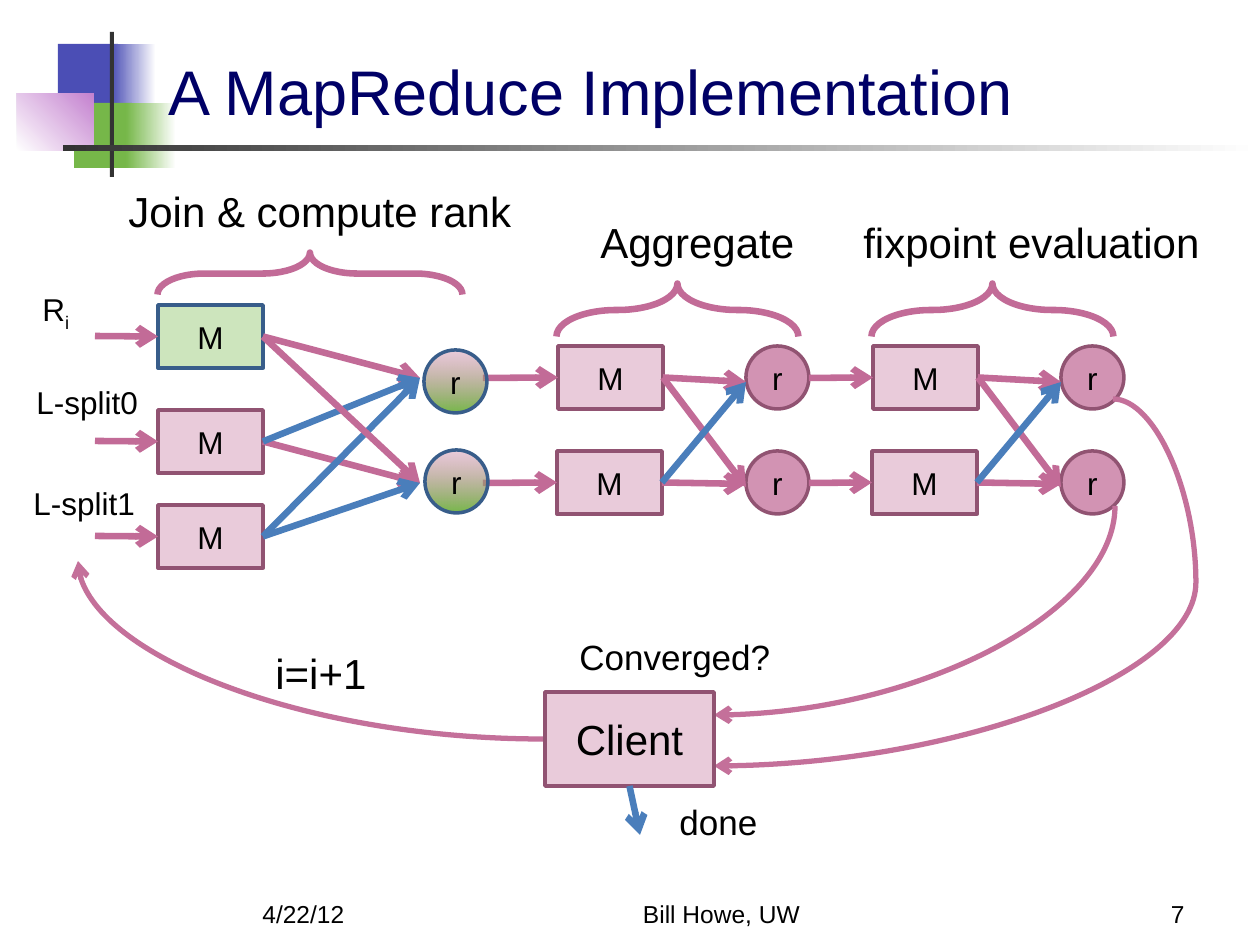
from lxml.etree import SubElement
from pptx import Presentation
from pptx.dml.color import RGBColor
from pptx.enum.shapes import MSO_CONNECTOR, MSO_SHAPE
from pptx.enum.text import MSO_ANCHOR, PP_ALIGN
from pptx.oxml.ns import qn
from pptx.util import Pt

PX = 914400 // 126
FONT = "Arial"
BLACK = RGBColor(0, 0, 0)
WHITE = RGBColor(255, 255, 255)
GREY = RGBColor(0x33, 0x33, 0x33)
NAVY = RGBColor(0, 0, 0x66)
INDIGO = RGBColor(0x4B, 0x4E, 0xB5)
GREEN = RGBColor(0x76, 0xB7, 0x49)
LILAC = RGBColor(0xC4, 0x81, 0xCF)
PINK = RGBColor(0xC4, 0x70, 0x9A)
ROSE = RGBColor(0xC2, 0x6B, 0x97)
PLUM = RGBColor(0x91, 0x53, 0x72)
BLUE = RGBColor(0x4A, 0x7E, 0xBB)
STEEL = RGBColor(0x38, 0x5D, 0x8A)
LEFT, MID, RIGHT = PP_ALIGN.LEFT, PP_ALIGN.CENTER, PP_ALIGN.RIGHT
TOP, BASE = MSO_ANCHOR.TOP, MSO_ANCHOR.BOTTOM

# Template art: box, colour, fade-to colour, angle
ART = [
    ((58, 44, 60, 66), INDIGO, None, 0),
    ((111, 44, 45, 66), INDIGO, WHITE, 0),
    ((74, 103, 58, 65), GREEN, None, 0),
    ((126, 103, 50, 65), GREEN, WHITE, 0),
    ((17, 93, 77, 58), WHITE, LILAC, 45),
    ((110, 32, 4, 145), GREY, None, 0),
    ((63, 145, 1197, 6), GREY, WHITE, 0),
]
# Labels: box, words, size, align, anchor, wrap
LABELS = [
    ((250, 872, 262, 63), "4/22/12", 14, LEFT, BASE, True),
    ((522, 872, 399, 63), "Bill Howe, UW", 14, MID, BASE, True),
    ((935, 872, 262, 63), "7", 14, RIGHT, BASE, True),
    ((30, 284, 63, 50), ("R", "i"), 18, LEFT, TOP, True),
    ((24, 377, 160, 50), "L-split0", 18, LEFT, TOP, True),
    ((21, 478, 129, 50), "L-split1", 18, LEFT, TOP, True),
    ((263, 641, 221, 63), "i=i+1", 24, LEFT, TOP, True),
    ((567, 629, 217, 54), "Converged?", 20, LEFT, TOP, False),
    ((116, 179, 483, 63), "Join & compute rank", 24, LEFT, TOP, True),
    ((588, 210, 231, 63), "Aggregate", 24, LEFT, TOP, True),
    ((851, 210, 368, 63), "fixpoint evaluation", 24, LEFT, TOP, True),
    ((667, 794, 221, 54), "done", 20, LEFT, TOP, True),
]
SPLITS = [305, 410, 505]     # tops of the first mappers
ROWS = [346, 451]            # tops of the later stages
STAGES = [0, 315]            # x offsets of the later stages
GOALS = [(420, 378), (420, 483)]
LINKS = [(0, 0, ROSE), (1, 1, ROSE), (2, 0, BLUE), (1, 0, BLUE),
         (0, 1, ROSE), (2, 1, BLUE)]
# Braces: unrotated boxes
BRACES = [(289, 121, 42, 305), (651, 189, 53, 242), (966, 189, 53, 242)]
# Curves: preset, unrotated box, quarter turns, flipped, bend
CURVES = [
    ("curvedConnector2", (810, 410, 209, 401), 1, False, None),
    ("curvedConnector3", (714, 399, 399, 367), 2, True, -20800),
    ("curvedConnector2", (78, 561, 465, 178), 2, False, None),
]

deck = Presentation()
deck.slide_width, deck.slide_height = 1260 * PX, 945 * PX
slide = deck.slides.add_slide(deck.slide_layouts[5])
shapes = slide.shapes


def emu(box):
    return [n * PX for n in box]


def put(frame, words, size=18, color=BLACK, align=MID,
        anchor=MSO_ANCHOR.MIDDLE, wrap=True):
    """Write words; the second part of a pair is a subscript."""
    frame.word_wrap, frame.vertical_anchor = wrap, anchor
    par = frame.paragraphs[0]
    par.alignment = align
    for i, part in enumerate([words] if isinstance(words, str) else words):
        run = par.add_run()
        run.text = part
        run.font.name, run.font.size = FONT, Pt(size)
        run.font.color.rgb = color
        if i:
            run._r.get_or_add_rPr().set("baseline", "-25000")


def fade(shape, percent):
    """Make the first fill colour partly transparent."""
    tone = next(shape._element.spPr.iter(qn("a:srgbClr")))
    SubElement(tone, qn("a:alpha")).set("val", str(percent * 1000))


def draw(kind, box, fill=None, end=None, angle=0, line=None, width=2, alpha=100):
    shape = shapes.add_shape(kind, *emu(box))
    shape.shadow.inherit = False
    if fill is None:
        shape.fill.background()
    elif end is None:
        shape.fill.solid()
        shape.fill.fore_color.rgb = fill
    else:
        shape.fill.gradient()
        shape.fill.gradient_angle = angle
        for stop, tone, place in zip(shape.fill.gradient_stops, (fill, end), (0, 1)):
            stop.color.rgb, stop.position = tone, place
    if alpha < 100:
        fade(shape, alpha)
    if line is None:
        shape.line.fill.background()
    else:
        shape.line.color.rgb, shape.line.width = line, Pt(width)
    return shape


def box(x, y, w=105, h=63, words="M", size=18, fill=PINK, line=PLUM):
    shape = draw(MSO_SHAPE.FLOWCHART_PROCESS, (x, y, w, h), fill, line=line, alpha=36)
    put(shape.text_frame, words, size)
    return shape


def ring(x, y, **style):
    shape = draw(MSO_SHAPE.FLOWCHART_CONNECTOR, (x, y, 63, 63), PINK, **style)
    put(shape.text_frame, "r")


def style(link, color, width):
    link.line.color.rgb, link.line.width = color, Pt(width)
    SubElement(link.line._get_or_add_ln(), qn("a:tailEnd")).set("type", "arrow")
    SubElement(link._element.spPr, qn("a:effectLst"))


def arrow(start, end, color=ROSE, out=3, into=1):
    """Join two ends, each a point or a box."""
    points = [p if isinstance(p, tuple) else (0, 0) for p in (start, end)]
    link = shapes.add_connector(MSO_CONNECTOR.STRAIGHT, *emu(points[0] + points[1]))
    if not isinstance(start, tuple):
        link.begin_connect(start, out)
    if not isinstance(end, tuple):
        link.end_connect(end, into)
    style(link, color, 3.75)


# Template art and title
for area, tone, end, angle in ART:
    draw(MSO_SHAPE.RECTANGLE, area, tone, end, angle)
title = shapes.title
title.left, title.top, title.width, title.height = emu((156, 44, 1074, 92))
put(title.text_frame, "A MapReduce Implementation", 36, NAVY, LEFT)
shapes._spTree.append(title._element)

# First stage
maps = [box(158, y, fill=PINK if i else GREEN, line=PLUM if i else STEEL)
        for i, y in enumerate(SPLITS)]
for i, goal, tone in LINKS:
    arrow(maps[i], GOALS[goal], tone)
for node, y in zip(maps, SPLITS):
    arrow((95, y + 31), node)

# Later stages
for dx in STAGES:
    pair = [box(558 + dx - i, y) for i, y in enumerate(ROWS)]
    for y, node in zip(ROWS, pair):
        ring(746 + dx, y, line=PLUM, alpha=75)
        arrow(((809 if dx else 483), y + 32), node)
    for i, y, tone in [(0, 382, ROSE), (1, 484, ROSE), (0, 487, ROSE), (1, 382, BLUE)]:
        arrow(pair[i], (746 + dx, y), tone)

# Braces
for area in BRACES:
    brace = draw(MSO_SHAPE.RIGHT_BRACE, area, line=ROSE, width=3.75)
    brace.rotation = 270
    brace.adjustments[0], brace.adjustments[1] = 1.125, 0.5

# Feedback curves
for preset, (x, y, w, h), turns, flip, bend in CURVES:
    ends = (x, y + h, x + w, y) if flip else (x, y, x + w, y + h)
    link = shapes.add_connector(MSO_CONNECTOR.CURVE, *emu(ends))
    props = link._element.spPr
    props.find(qn("a:xfrm")).set("rot", str(turns * 5400000))
    geom = props.find(qn("a:prstGeom"))
    geom.set("prst", preset)
    if bend is not None:
        guide = SubElement(geom.find(qn("a:avLst")), qn("a:gd"))
        guide.set("name", "adj1")
        guide.set("fmla", f"val {bend}")
    style(link, PINK, 3)

# Client, labels and first reducers
client = box(545, 692, 169, 94, "Client", 24)
arrow(client, (640, 835), BLUE, out=2)
for area, words, size, align, anchor, wrap in LABELS:
    label = shapes.add_textbox(*emu(area))
    put(label.text_frame, words, size, align=align, anchor=anchor, wrap=wrap)
for x, y in [(425, 450), (424, 350)]:
    ring(x, y, end=GREEN, angle=270, line=STEEL, alpha=35)

deck.save("out.pptx")
